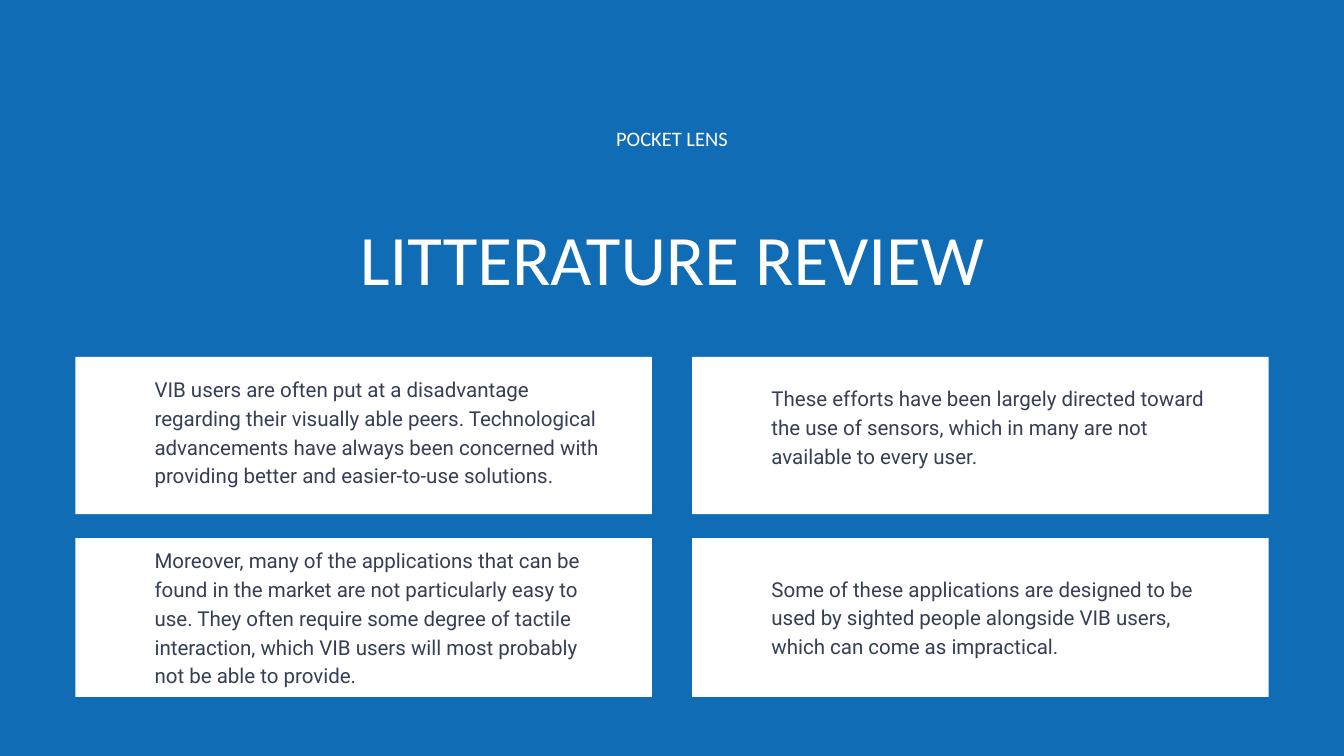
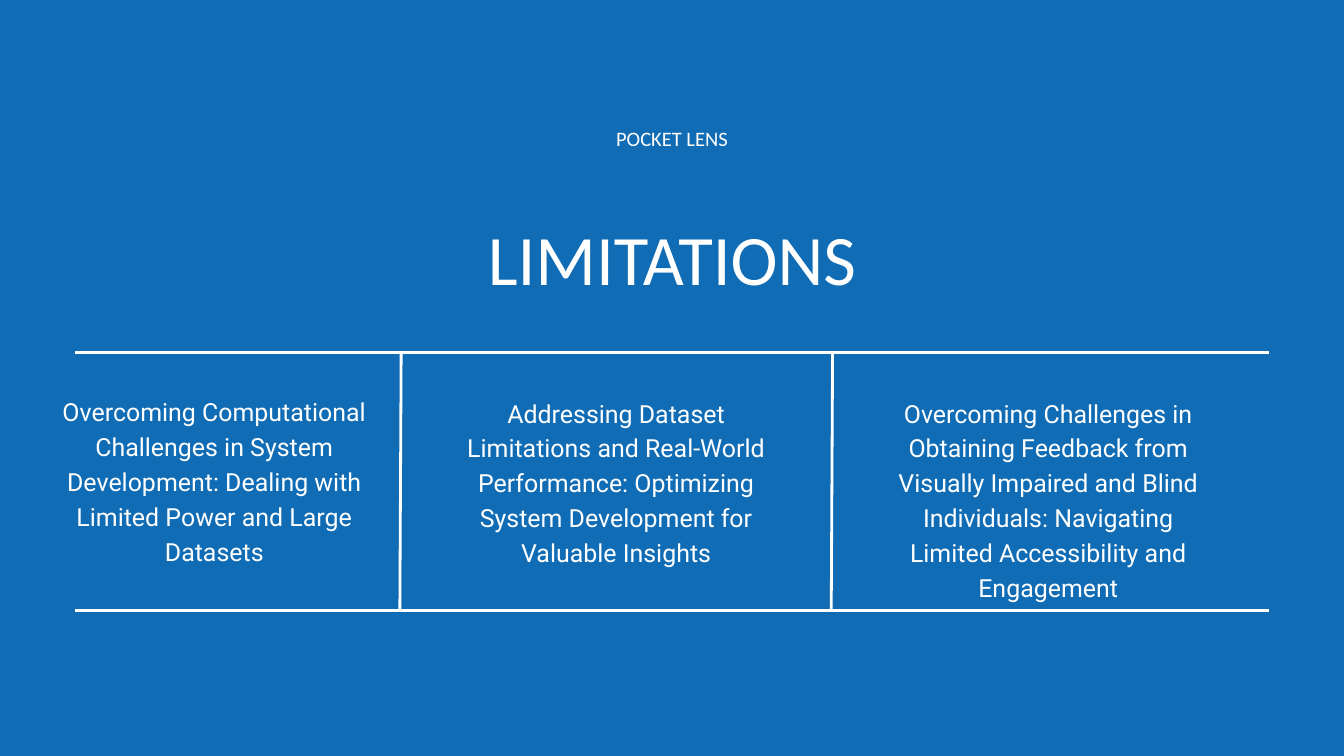
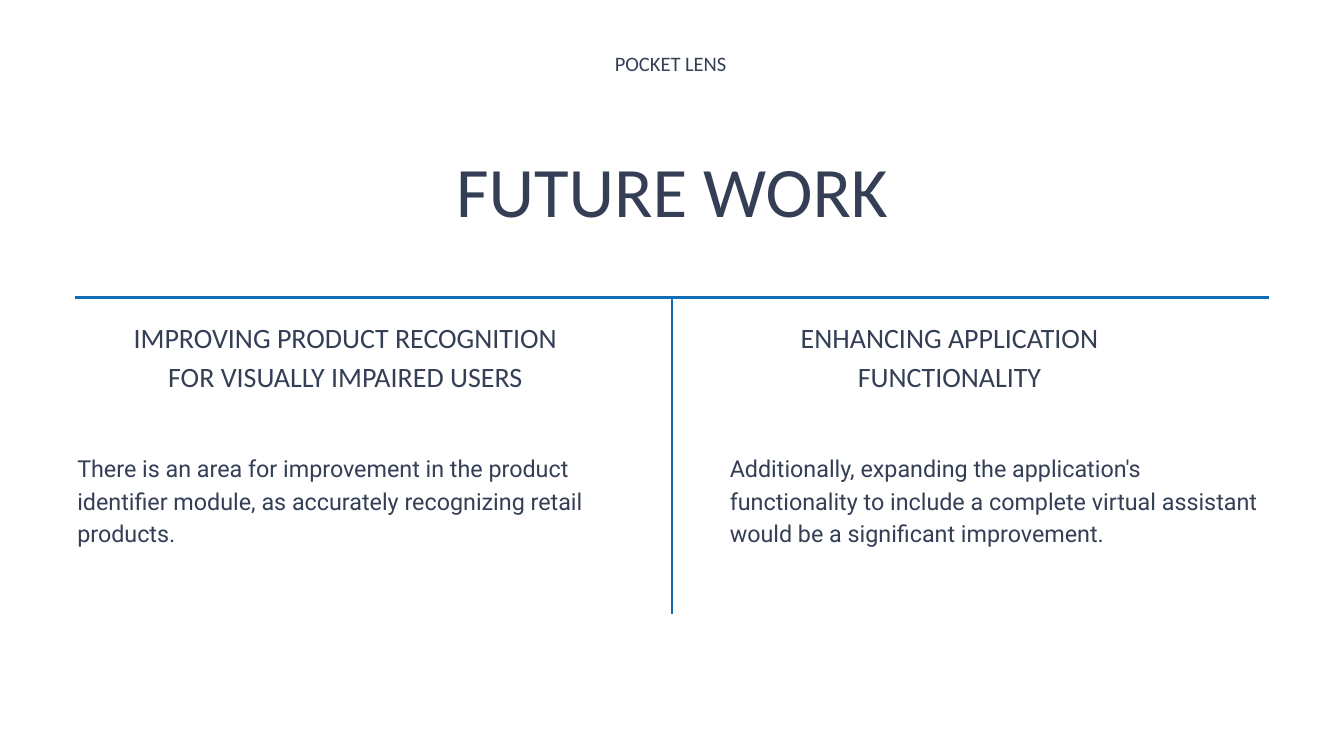
from lxml import etree
from pptx import Presentation
from pptx.dml.color import RGBColor
from pptx.enum.shapes import MSO_CONNECTOR as Connector, MSO_SHAPE as Shape
from pptx.enum.text import MSO_AUTO_SIZE as AutoSize, PP_ALIGN as Align
from pptx.oxml.ns import qn
from pptx.util import Inches, Pt

BLUE = RGBColor(0x10, 0x6C, 0xB5)
WHITE = RGBColor(0xFF, 0xFF, 0xFF)
NAVY = RGBColor(0x34, 0x3F, 0x56)

HEADING_FONT, BODY_FONT = "Calibri", "Roboto"
LEADING = 1.4  # line spacing as a multiple of the text size
SLIDE_W, SLIDE_H = 20, 11.25
LEFT, RIGHT = 1.12, 18.88


def write_text(frame, text, size=22, font=BODY_FONT, color=NAVY, align=Align.LEFT):
    """Fill a text frame with one paragraph, without margins."""
    frame.margin_left = frame.margin_top = frame.margin_right = frame.margin_bottom = 0
    frame.word_wrap = True
    frame.auto_size = AutoSize.SHAPE_TO_FIT_TEXT
    paragraph = frame.paragraphs[0]
    paragraph.alignment = align
    paragraph.line_spacing = Pt(size * LEADING)
    run = paragraph.add_run()
    run.text = text
    run.font.size = Pt(size)
    run.font.name = font
    run.font.color.rgb = color


class Deck:
    """Holds the shared style and the slide being built."""

    def __init__(self):
        self.prs = Presentation()
        self.prs.slide_width = Inches(SLIDE_W)
        self.prs.slide_height = Inches(SLIDE_H)

    def new_slide(self, background, ink, rule_color):
        self.slide = self.prs.slides.add_slide(self.prs.slide_layouts[6])
        fill = self.slide.background.fill
        fill.solid()
        fill.fore_color.rgb = background
        self.ink, self.rule_color = ink, rule_color

    def text(self, text, left, top, width, height, **style):
        box = self.slide.shapes.add_textbox(
            Inches(left), Inches(top), Inches(width), Inches(height))
        write_text(box.text_frame, text, **{"color": self.ink, **style})

    def header(self, title, title_top=2.98, label_left=7.65, label_top=1.81):
        style = dict(font=HEADING_FONT, align=Align.CENTER)
        self.text(title, 2.94, title_top, 14.12, 1.42, size=76, **style)
        self.text("POCKET LENS", label_left, label_top, 4.7, 0.43, **style)

    def card(self, left, top, width, height):
        panel = self.slide.shapes.add_shape(
            Shape.RECTANGLE, Inches(left), Inches(top), Inches(width), Inches(height))
        panel.shadow.inherit = False
        panel.fill.solid()
        panel.fill.fore_color.rgb = WHITE
        panel.line.fill.background()

    def rule(self, x1, y1, x2, y2):
        line = self.slide.shapes.add_connector(
            Connector.STRAIGHT, Inches(x1), Inches(y1), Inches(x2), Inches(y2))
        line.line.color.rgb = self.rule_color
        line.line.width = Pt(3)
        etree.SubElement(line._element.spPr, qn("a:effectLst"))


def literature_review(deck):
    deck.new_slide(BLUE, WHITE, WHITE)
    deck.header("LITTERATURE REVIEW")

    # Two by two cards: each entry is text top, text height, text
    card_width, text_indent = 8.58, 1.18
    columns = (LEFT, RIGHT - card_width)
    rows = ((5.31, 2.34), (8.01, 2.36))
    findings = (
        ((5.55, 1.7, "VIB users are often put at a disadvantage regarding their "
          "visually able peers. Technological advancements have always been "
          "concerned with providing better and easier-to-use solutions."),
         (5.69, 1.27, "These efforts have been largely directed toward the use of "
          "sensors, which in many are not available to every user.")),
        ((8.1, 2.13, "Moreover, many of the applications that can be found in the "
          "market are not particularly easy to use. They often require some degree "
          "of tactile interaction, which VIB users will most probably not be able "
          "to provide."),
         (8.52, 1.27, "Some of these applications are designed to be used by sighted "
          "people alongside VIB users, which can come as impractical.")),
    )
    for (card_top, card_height), row in zip(rows, findings):
        for left, (top, height, finding) in zip(columns, row):
            deck.card(left, card_top, card_width, card_height)
            deck.text(finding, left + text_indent, top, 6.74, height, color=NAVY)


def limitations(deck):
    deck.new_slide(BLUE, WHITE, WHITE)
    deck.header("LIMITATIONS")

    # Frame: top and bottom rules, slightly slanted dividers
    top, bottom = 5.24, 9.09
    for y in (top, bottom):
        deck.rule(LEFT, y, RIGHT, y)
    for x in (5.95, 12.37):
        deck.rule(x, bottom, x + 0.02, top)

    # Three columns
    challenges = (
        (0.78, 5.83, 2.59, "Overcoming Computational Challenges in System Development: "
         "Dealing with Limited Power and Large Datasets"),
        (6.76, 5.85, 2.59, "Addressing Dataset Limitations and Real-World Performance: "
         "Optimizing System Development for Valuable Insights"),
        (13.19, 5.85, 3.11, "Overcoming Challenges in Obtaining Feedback from Visually "
         "Impaired and Blind Individuals: Navigating Limited Accessibility and "
         "Engagement"),
    )
    for left, text_top, height, challenge in challenges:
        deck.text(challenge, left, text_top, 4.82, height, size=26.7, align=Align.CENTER)


def future_work(deck):
    deck.new_slide(WHITE, NAVY, BLUE)
    deck.header("FUTURE WORK", title_top=1.97, label_left=7.63, label_top=0.7)

    # T-shaped divider
    top, middle = 4.43, SLIDE_W / 2
    deck.rule(middle, 9.13, middle, top)
    deck.rule(LEFT, top, RIGHT, top)

    # Heading left and width, body left, then the two texts
    plans = (
        (1.85, 6.58, 1.15, "IMPROVING PRODUCT RECOGNITION FOR VISUALLY IMPAIRED USERS",
         "There is an area for improvement in the product identifier module, as "
         "accurately recognizing retail products."),
        (11.57, 5.12, 10.86, "ENHANCING APPLICATION FUNCTIONALITY",
         "Additionally, expanding the application's functionality to include a "
         "complete virtual assistant would be a significant improvement."),
    )
    for heading_left, heading_width, body_left, heading, body in plans:
        deck.text(heading, heading_left, 4.69, heading_width, 1.74,
                  size=30, font=HEADING_FONT, align=Align.CENTER)
        deck.text(body, body_left, 6.69, 7.98, 1.43, size=25)


def main():
    deck = Deck()
    for build in (literature_review, limitations, future_work):
        build(deck)
    deck.prs.save("out.pptx")


if __name__ == "__main__":
    main()
